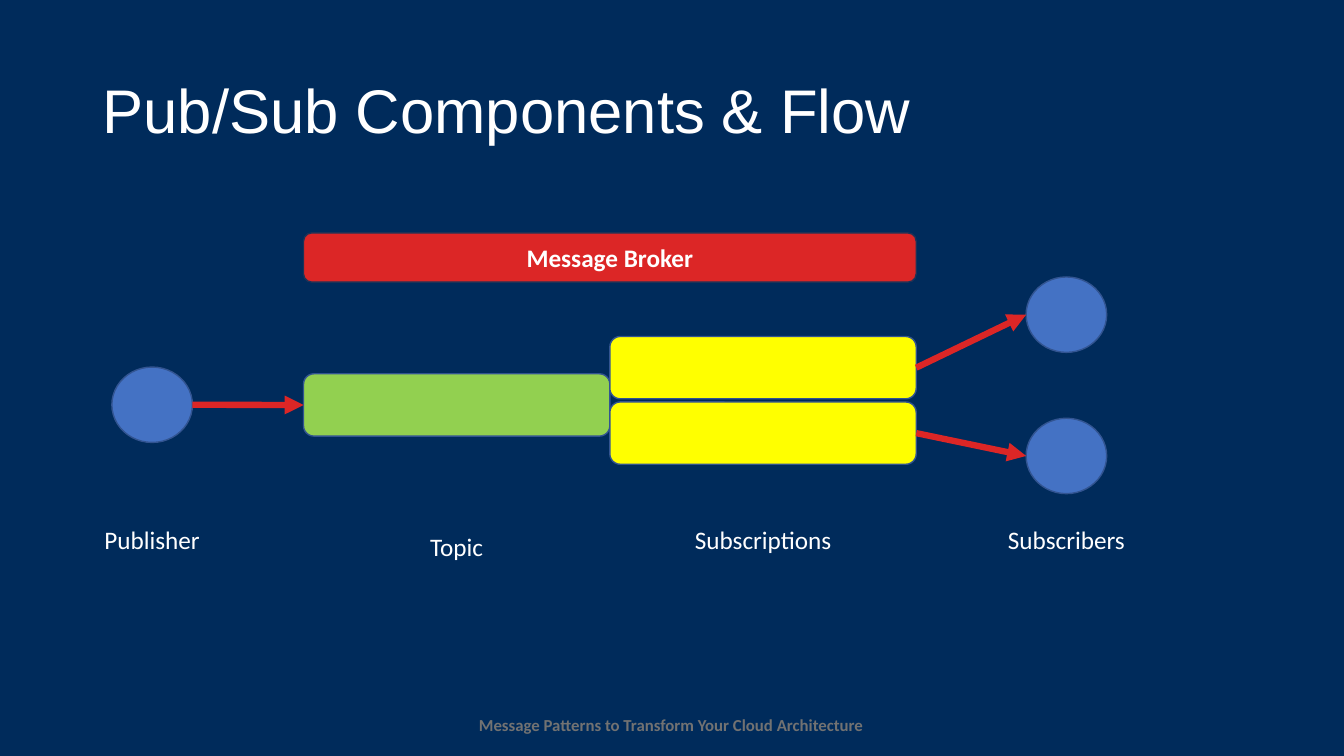
import pptx
import pptx.dml.color
import pptx.enum.shapes
import pptx.enum.text
import pptx.oxml
import pptx.oxml.ns
import pptx.util

Cm = pptx.util.Cm
Pt = pptx.util.Pt
Shape = pptx.enum.shapes.MSO_SHAPE
Align = pptx.enum.text.PP_ALIGN

NAVY, WHITE, GREY = "002B5B", "FFFFFF", "727272"
RED, BLUE, GREEN, YELLOW = "DC2626", "4472C4", "92D050", "FFFF00"
BLUE_OUTLINE, BROKER_OUTLINE = "325491", "1E3256"
CIRCLE_SIZE = (2.03, 1.9)
QUEUE_SIZE = (7.72, 1.57)


def color(hex_value):
    return pptx.dml.color.RGBColor.from_string(hex_value)


def set_text(shape, text, size, font_name, font_color, bold=False, align=Align.CENTER):
    shape.text_frame.vertical_anchor = pptx.enum.text.MSO_ANCHOR.MIDDLE
    paragraph = shape.text_frame.paragraphs[0]
    paragraph.text = text
    paragraph.alignment = align
    paragraph.font.size = Pt(size)
    paragraph.font.name = font_name
    paragraph.font.bold = bold
    paragraph.font.color.rgb = color(font_color)
    return paragraph


def add_block(shapes, kind, box, fill, outline=BLUE_OUTLINE):
    shape = shapes.add_shape(kind, *map(Cm, box))
    shape.shadow.inherit = False
    shape.fill.solid()
    shape.fill.fore_color.rgb = color(fill)
    shape.line.color.rgb = color(outline)
    shape.line.width = Pt(1)
    return shape


def add_line_of_text(shapes, box, text, size, font_color, bold=False):
    """Add a one-line text box that fits its text."""
    text_box = shapes.add_textbox(*map(Cm, box))
    text_box.text_frame.word_wrap = False
    text_box.text_frame.auto_size = pptx.enum.text.MSO_AUTO_SIZE.SHAPE_TO_FIT_TEXT
    set_text(text_box, text, size, "Calibri", font_color, bold)


def add_title(slide, box, text):
    text_box = slide.shapes.add_textbox(*map(Cm, box))
    text_box.text_frame.word_wrap = True
    paragraph = set_text(text_box, text, 44, "Arial", WHITE, align=Align.LEFT)
    paragraph.line_spacing = 0.9


def add_stage(slide, box, kind, size, tops, fill, label, label_width):
    """Group a stage's blocks, at offsets from the box top, with a label at its foot."""
    left, top, width, height = box
    group = slide.shapes.add_group_shape()
    blocks = [
        add_block(group.shapes, kind, (left + (width - size[0]) / 2, top + offset, *size), fill)
        for offset in tops
    ]
    label_height = 1.02
    label_box = (left + (width - label_width) / 2, top + height - label_height,
                 label_width, label_height)
    add_line_of_text(group.shapes, label_box, label, 18, WHITE)
    return blocks


def add_arrow(slide, source, target):
    """Point from the right edge of source to the left edge of target."""
    connector = slide.shapes.add_connector(
        pptx.enum.shapes.MSO_CONNECTOR.STRAIGHT,
        source.left + source.width, source.top + source.height // 2,
        target.left, target.top + target.height // 2)
    connector.line.color.rgb = color(RED)
    connector.line.width = Pt(4.5)
    tail = pptx.oxml.parse_xml(
        f'<a:tailEnd {pptx.oxml.ns.nsdecls("a")} type="triangle"/>')
    connector.line._get_or_add_ln().append(tail)
    effects = pptx.oxml.parse_xml(f'<a:effectLst {pptx.oxml.ns.nsdecls("a")}/>')
    connector._element.spPr.append(effects)


def add_flow(slide, box):
    """Draw the broker bar and the stages from publisher to subscribers."""
    left, top, width, height = box
    queue_width, circle_width = QUEUE_SIZE[0], CIRCLE_SIZE[0]
    topic_left = left + 4.83
    subscribers_left = left + width - circle_width

    [publisher] = add_stage(
        slide, (left, top, circle_width, height),
        Shape.OVAL, CIRCLE_SIZE, [3.38], BLUE, "Publisher", 2.95)
    [topic] = add_stage(
        slide, (topic_left, top, queue_width, height + 0.18),
        Shape.ROUNDED_RECTANGLE, QUEUE_SIZE, [3.55], GREEN, "Topic", 1.85)
    subscriptions = add_stage(
        slide, (topic_left + queue_width, top, queue_width, height),
        Shape.ROUNDED_RECTANGLE, QUEUE_SIZE, [2.61, 4.26], YELLOW, "Subscriptions", 3.99)
    subscribers = add_stage(
        slide, (subscribers_left, top, circle_width, height),
        Shape.OVAL, CIRCLE_SIZE, [1.11, 4.67], BLUE, "Subscribers", 3.48)

    broker = add_block(slide.shapes, Shape.ROUNDED_RECTANGLE,
                       (topic_left, top, 2 * queue_width, 1.24), RED, BROKER_OUTLINE)
    set_text(broker, "Message Broker", 18, "Calibri", WHITE, bold=True)

    add_arrow(slide, publisher, topic)
    for subscription, subscriber in zip(subscriptions, subscribers):
        add_arrow(slide, subscription, subscriber)


def main():
    presentation = pptx.Presentation()
    presentation.slide_width = Cm(33.87)
    presentation.slide_height = Cm(19.05)
    slide = presentation.slides.add_slide(presentation.slide_layouts[6])
    slide.background.fill.solid()
    slide.background.fill.fore_color.rgb = color(NAVY)

    add_line_of_text(slide.shapes, (11.76, 17.88, 10.31, 0.76),
                     "Message Patterns to Transform Your Cloud Architecture", 12, GREY, bold=True)
    add_title(slide, (2.34, 1.02, 29.21, 3.68), "Pub/Sub Components & Flow")
    add_flow(slide, (2.82, 5.87, 25.07, 8.23))
    presentation.save("out.pptx")


if __name__ == "__main__":
    main()
